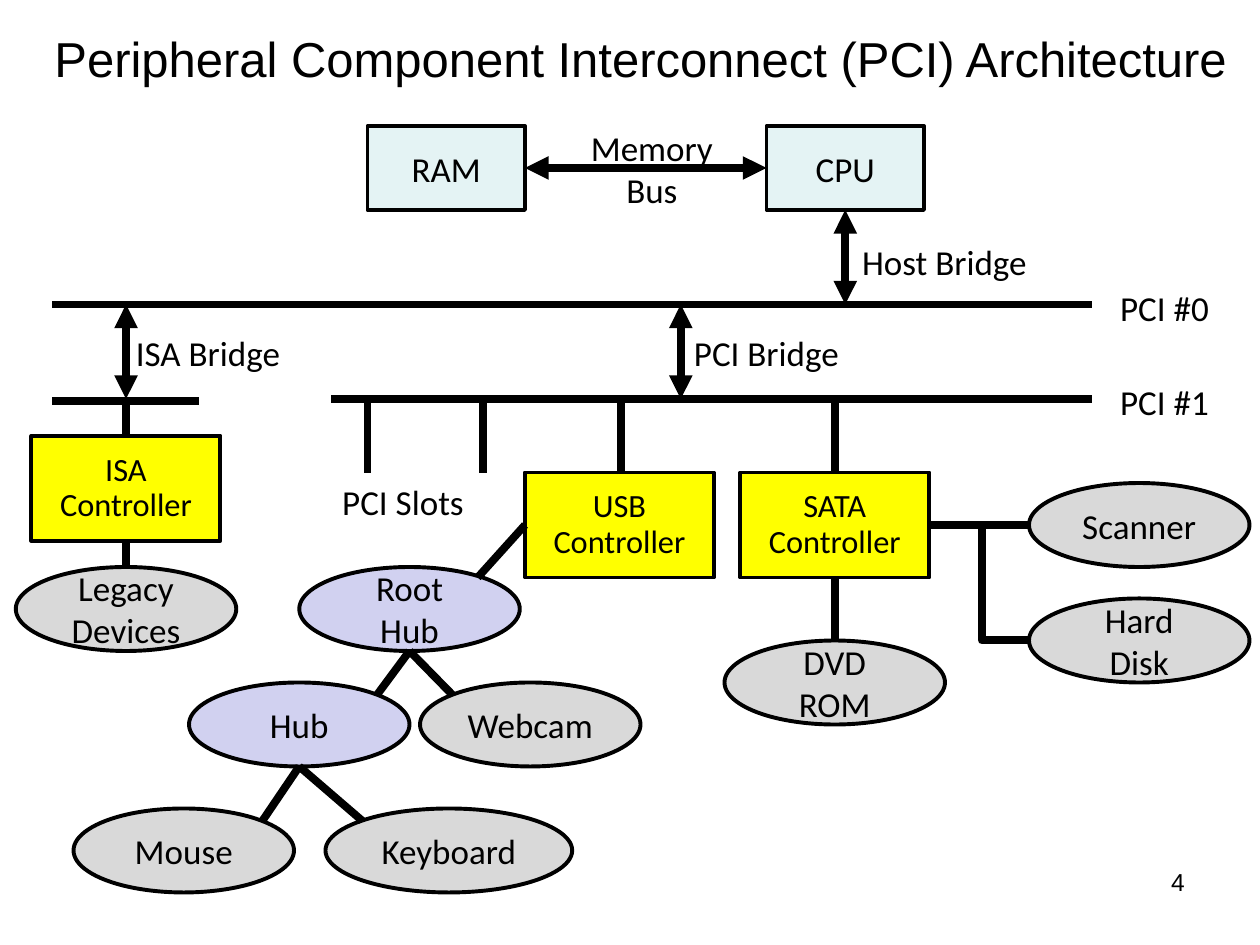
from dataclasses import dataclass

from pptx import Presentation
from pptx.dml.color import RGBColor
from pptx.enum import shapes, text
from pptx.oxml import ns
from pptx.util import Pt
from lxml import etree


@dataclass(frozen=True)
class Theme:
    ink = RGBColor(0, 0, 0)
    core = RGBColor(0xE4, 0xF3, 0xF4)
    controller = RGBColor(0xFF, 0xFF, 0x00)
    device = RGBColor(0xD9, 0xD9, 0xD9)
    hub = RGBColor(0xD1, 0xD1, 0xF0)
    heading_font = "Arial"
    body_font = "Calibri"
    title_size = 28
    body_size = 20
    controller_size = 18.5
    number_size = 14
    outline = 2.25
    bus = 4.5


THEME = Theme()
CENTER = text.PP_ALIGN.CENTER
NODE_HEIGHT = 48
DEVICE_WIDTH = 126
PCI0_Y, PCI1_Y, ISA_Y = 174, 228, 229
TOP, LEFT, BOTTOM, RIGHT = range(4)


def points(*values):
    return [Pt(value) for value in values]


def style(para, size, font=THEME.body_font, align=None):
    para.alignment = align
    para.font.size = Pt(size)
    para.font.name = font
    para.font.color.rgb = THEME.ink


def add_title(page, words):
    title = page.shapes.title
    title.left, title.top, title.width, title.height = points(18, 12, 696, 42)
    frame = title.text_frame
    frame.text = words
    frame.auto_size = text.MSO_AUTO_SIZE.NONE
    frame.vertical_anchor = text.MSO_ANCHOR.MIDDLE
    style(frame.paragraphs[0], THEME.title_size, THEME.heading_font, CENTER)


def add_node(page, kind, words, bounds, fill, size=THEME.body_size):
    node = page.shapes.add_shape(kind, *points(*bounds))
    node.shadow.inherit = False
    node.fill.solid()
    node.fill.fore_color.rgb = fill
    node.line.color.rgb = THEME.ink
    node.line.width = Pt(THEME.outline)
    node.text_frame.word_wrap = True
    node.text_frame.vertical_anchor = text.MSO_ANCHOR.MIDDLE
    para = node.text_frame.paragraphs[0]
    para.text = words
    style(para, size, align=CENTER)
    return node


def add_core(page, words, left):
    return add_node(page, shapes.MSO_SHAPE.RECTANGLE, words,
                    (left, 72, 90, NODE_HEIGHT), THEME.core)


def add_controller(page, words, left, top):
    box = add_node(page, shapes.MSO_SHAPE.RECTANGLE, words + "\nController",
                   (left, top, 108, 60), THEME.controller, THEME.controller_size)
    box.text_frame.paragraphs[0].line_spacing = 0.9
    return box


def add_oval(page, words, left, top, fill=THEME.device, width=DEVICE_WIDTH):
    add_node(page, shapes.MSO_SHAPE.OVAL, words, (left, top, width, NODE_HEIGHT), fill)


def add_line(page, start, end, arrows=False, begin=None, finish=None,
             kind=shapes.MSO_CONNECTOR.STRAIGHT):
    """Draw a heavy line; begin and finish are (box, side) pairs to join."""
    line = page.shapes.add_connector(kind, *points(*start, *end))
    line.line.color.rgb = THEME.ink
    line.line.width = Pt(THEME.bus)
    if arrows:
        stroke = line.line._get_or_add_ln()
        for tag in ("a:headEnd", "a:tailEnd"):
            etree.SubElement(stroke, ns.qn(tag), type="triangle")
    etree.SubElement(line._element.spPr, ns.qn("a:effectLst"))
    if begin:
        line.begin_connect(*begin)
    if finish:
        line.end_connect(*finish)
    return line


def add_corner(page, start, end):
    """Draw a line that runs down from start, then right to end."""
    (x1, y1), (x2, y2) = start, end
    mid_x, mid_y = (x1 + x2) / 2, (y1 + y2) / 2
    half_run, half_drop = (x2 - x1) / 2, (y2 - y1) / 2
    # The frame lies on its side and is turned by 270 degrees.
    line = add_line(page, (mid_x + half_drop, mid_y - half_run),
                    (mid_x - half_drop, mid_y + half_run),
                    kind=shapes.MSO_CONNECTOR.ELBOW)
    properties = line._element.spPr
    properties.find(ns.qn("a:xfrm")).set("rot", str(270 * 60000))
    properties.find(ns.qn("a:prstGeom")).set("prst", "bentConnector2")


def add_label(page, words, bounds, align=None):
    box = page.shapes.add_textbox(*points(*bounds))
    frame = box.text_frame
    frame.text = words
    frame.word_wrap = False
    frame.auto_size = text.MSO_AUTO_SIZE.SHAPE_TO_FIT_TEXT
    for para in frame.paragraphs:
        style(para, THEME.body_size, align=align)


def add_page_number(page, number):
    frame = page.shapes.add_textbox(*points(516, 492, 168, 37.5)).text_frame
    frame.text = number
    frame.word_wrap = True
    style(frame.paragraphs[0], THEME.number_size, THEME.heading_font, text.PP_ALIGN.RIGHT)


def add_buses(page):
    cpu = add_core(page, "CPU", 438)
    ram = add_core(page, "RAM", 210)
    add_line(page, (300, 96), (438, 96), True, (ram, RIGHT), (cpu, LEFT))
    add_label(page, "Memory\nBus", (326, 69, 93, 55.5), CENTER)
    add_line(page, (624, PCI0_Y), (30, PCI0_Y))
    add_line(page, (483, 120), (483, PCI0_Y), True, (cpu, BOTTOM))
    add_line(page, (624, PCI1_Y), (189, PCI1_Y))
    add_line(page, (30, ISA_Y), (114, ISA_Y))
    for x in (389, 72):
        add_line(page, (x, PCI0_Y), (x, PCI1_Y), True)


def add_controllers(page):
    usb = add_controller(page, "USB", 300, 270)
    sata = add_controller(page, "SATA", 423, 270)
    isa = add_controller(page, "ISA", 18, 249)
    add_line(page, (355, 271), (355, PCI1_Y))
    add_line(page, (477, 270), (477, PCI1_Y), begin=(sata, TOP))
    for x in (276, 210):
        add_line(page, (x, 270), (x, PCI1_Y))
    add_line(page, (72, ISA_Y), (72, 249), finish=(isa, TOP))
    add_line(page, (72, 309), (72, 328), begin=(isa, BOTTOM))
    add_line(page, (531, 300), (588, 300), begin=(sata, RIGHT))
    add_corner(page, (561, 300), (588, 366))
    add_line(page, (477, 330), (477, 366), begin=(sata, BOTTOM))
    return usb


def add_devices(page, usb):
    for words, left, top in (("Scanner", 588, 276), ("Hard Disk", 588, 342),
                             ("DVD ROM", 414, 366), ("Legacy\nDevices", 9, 324),
                             ("Webcam", 240, 390), ("Mouse", 42, 462)):
        add_oval(page, words, left, top)
    add_oval(page, "Keyboard", 186, 462, width=141)
    add_oval(page, "Root Hub", 171, 324, THEME.hub)
    add_oval(page, "Hub", 108, 390, THEME.hub)
    add_line(page, (300, 300), (273, 330), begin=(usb, LEFT))
    for start, ends in (((234, 372), ((215.5, 397), (258.5, 397))),
                        ((171, 438), ((150, 469), (207, 469)))):
        for end in ends:
            add_line(page, start, end)


def add_labels(page):
    for words, left, top, width in (("PCI #0", 633, 160, 75.5), ("PCI #1", 633, 214, 75.5),
                                    ("Host Bridge", 485.5, 134, 126),
                                    ("PCI Bridge", 389.5, 186, 114),
                                    ("ISA Bridge", 70.5, 186, 112),
                                    ("PCI Slots", 188.5, 271, 96.5)):
        add_label(page, words, (left, top, width, 31.5))


def main():
    deck = Presentation()
    deck.slide_width, deck.slide_height = points(720, 540)
    page = deck.slides.add_slide(deck.slide_layouts[5])
    add_title(page, "Peripheral Component Interconnect (PCI) Architecture")
    add_buses(page)
    usb = add_controllers(page)
    add_devices(page, usb)
    add_labels(page)
    add_page_number(page, "4")
    deck.save("out.pptx")


if __name__ == "__main__":
    main()
